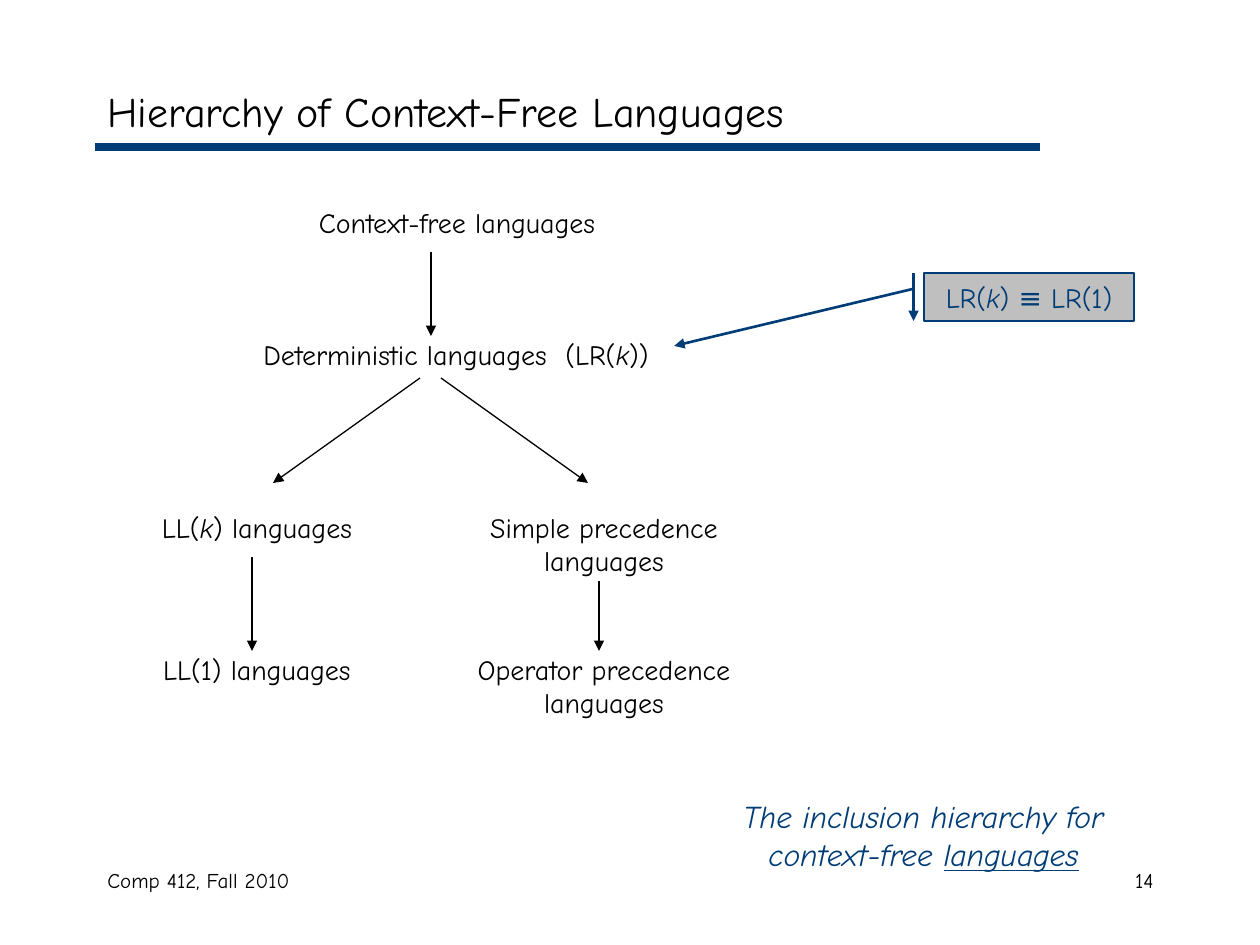
from lxml.etree import SubElement
from pptx import Presentation
from pptx.dml.color import RGBColor
from pptx.enum.shapes import MSO_CONNECTOR, MSO_SHAPE
from pptx.enum.text import MSO_ANCHOR, PP_ALIGN
from pptx.oxml.ns import qn
from pptx.util import Emu, Pt

FONT = "Comic Neue"
BLACK = RGBColor(0x00, 0x00, 0x00)
NAVY = RGBColor(0x00, 0x3C, 0x75)
GRAY = RGBColor(0xBF, 0xBF, 0xBF)
EMU_PER_PX = 914400 / 126


def px(value):
    return Emu(round(value * EMU_PER_PX))


def write(frame, lines, size, color=BLACK, align=PP_ALIGN.CENTER, italic=None):
    frame.word_wrap = True
    for index, runs in enumerate(lines):
        paragraph = frame.paragraphs[0] if index == 0 else frame.add_paragraph()
        paragraph.alignment = align
        paragraph.font.name = FONT
        paragraph.font.size = Pt(size)
        paragraph.font.color.rgb = color
        paragraph.font.italic = italic
        for text in runs:
            run = paragraph.add_run()
            run.text = text
            if text == "k":
                run.font.italic = True


def add_text(slide, box, lines, size, **style):
    frame = slide.shapes.add_textbox(*map(px, box)).text_frame
    write(frame, lines, size, **style)
    return frame


def add_arrowhead(shape):
    SubElement(shape.line._get_or_add_ln(), qn("a:tailEnd"), type="triangle")


def add_line(slide, start, end, color, width):
    line = slide.shapes.add_connector(MSO_CONNECTOR.STRAIGHT, *map(px, start + end))
    line.line.color.rgb = color
    line.line.width = Pt(width)
    SubElement(line._element.spPr, qn("a:effectLst"))
    return line


def add_callout(slide, box, runs):
    callout = slide.shapes.add_shape(
        MSO_SHAPE.LINE_CALLOUT_1_BORDER_AND_ACCENT_BAR, *map(px, box))
    callout.shadow.inherit = False
    for index, value in enumerate((0.33, -0.05, 1.52, -1.19)):
        callout.adjustments[index] = value
    callout.fill.solid()
    callout.fill.fore_color.rgb = GRAY
    callout.line.color.rgb = NAVY
    callout.line.width = Pt(1.5)
    add_arrowhead(callout)
    write(callout.text_frame, [runs], 16, color=NAVY)


def add_tree(slide):
    labels = [
        ((252, 199, 410, 47), [["Context-free languages"]]),
        ((204, 331, 504, 47), [["Deterministic languages  (LR(", "k", "))"]]),
        ((105, 504, 304, 47), [["LL(", "k", ") languages"]]),
        ((436, 504, 336, 81), [["Simple precedence"], ["languages"]]),
        ((105, 646, 304, 47), [["LL(1) languages"]]),
        ((436, 646, 336, 81), [["Operator precedence"], ["languages"]]),
    ]
    arrows = [
        ((431, 252), (431, 336)),
        ((420, 378), (273, 483)),
        ((441, 378), (588, 483)),
        ((252, 557), (252, 651)),
        ((599, 581), (599, 651)),
    ]
    for box, lines in labels:
        add_text(slide, box, lines, 16)
    for start, end in arrows:
        add_arrowhead(add_line(slide, start, end, BLACK, 0.75))


def main():
    presentation = Presentation()
    presentation.slide_width = px(1260)
    presentation.slide_height = px(945)
    slide = presentation.slides.add_slide(presentation.slide_layouts[6])

    add_line(slide, (95, 147), (1040, 147), NAVY, 4.5)
    add_text(slide, (95, 861, 399, 63), [["Comp 412, Fall 2010"]], 12, align=PP_ALIGN.LEFT)
    add_text(slide, (903, 861, 263, 63), [["14"]], 12, align=PP_ALIGN.RIGHT)
    title = add_text(slide, (95, 74, 1071, 73), [["Hierarchy of Context-Free Languages"]],
                     24, align=PP_ALIGN.LEFT)
    title.vertical_anchor = MSO_ANCHOR.MIDDLE

    add_tree(slide)
    add_callout(slide, (924, 273, 210, 48), ["LR(", "k", ") ≡ LR(1)"])
    caption = add_text(slide, (703, 791, 441, 88),
                       [["The inclusion hierarchy for context-free ", "languages"]],
                       18, color=NAVY, italic=True)
    caption.paragraphs[0].runs[-1].font.underline = True

    presentation.save("out.pptx")


if __name__ == "__main__":
    main()
